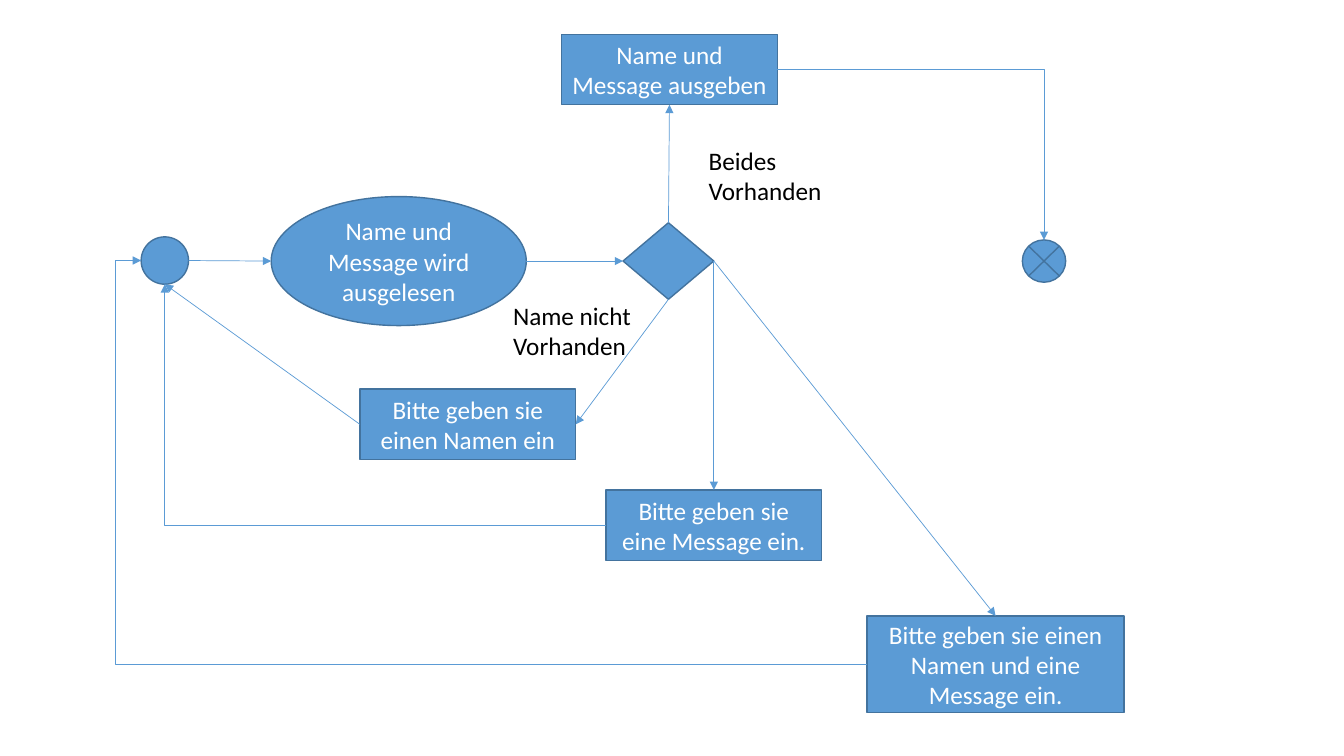
"""Build the flowchart slide that checks a name and a message."""
from dataclasses import dataclass

from lxml.etree import SubElement
from pptx import Presentation
from pptx.dml.color import RGBColor
from pptx.enum.shapes import MSO_CONNECTOR, MSO_SHAPE
from pptx.enum.text import MSO_ANCHOR, MSO_AUTO_SIZE, PP_ALIGN
from pptx.oxml.ns import qn
from pptx.slide import Slide
from pptx.text.text import TextFrame
from pptx.util import Inches, Pt

Point = tuple[float, float]


@dataclass(frozen=True)
class Theme:
    """Colours, font and sizes of the slide."""
    fill: RGBColor = RGBColor(0x5B, 0x9B, 0xD5)
    outline: RGBColor = RGBColor(0x43, 0x73, 0x9E)
    node_text: RGBColor = RGBColor(0xFF, 0xFF, 0xFF)
    label_text: RGBColor = RGBColor(0x00, 0x00, 0x00)
    font: str = "Calibri"
    text_size: float = 18
    outline_width: float = 1
    link_width: float = 0.5


@dataclass(frozen=True)
class Node:
    """A flowchart symbol with its place in inches."""
    kind: MSO_SHAPE
    x: float
    y: float
    width: float
    height: float
    text: str = ""

    @property
    def left(self) -> Point:
        """Return the middle of the left side."""
        return self.x, self.y + self.height / 2

    @property
    def right(self) -> Point:
        """Return the middle of the right side."""
        return self.x + self.width, self.y + self.height / 2

    @property
    def top(self) -> Point:
        """Return the middle of the top side."""
        return self.x + self.width / 2, self.y

    @property
    def bottom(self) -> Point:
        """Return the middle of the bottom side."""
        return self.x + self.width / 2, self.y + self.height


@dataclass(frozen=True)
class Link:
    """An arrow between two points, straight or bent."""
    begin: Point
    end: Point
    preset: str = "line"
    bend: int | None = None


@dataclass(frozen=True)
class Label:
    """A branch condition with its place in inches."""
    x: float
    y: float
    width: float
    height: float
    text: str


THEME = Theme()
CORNER = "bentConnector2"
DETOUR = "bentConnector3"
BOX_SIZE = (2.14, 0.7)

START = Node(MSO_SHAPE.FLOWCHART_CONNECTOR, 1.4, 2.35, 0.47, 0.47)
FINISH = Node(MSO_SHAPE.FLOWCHART_SUMMING_JUNCTION, 10.14, 2.38, 0.43, 0.42)
READ = Node(MSO_SHAPE.OVAL, 2.69, 1.95, 2.53, 1.28, "Name und Message wird ausgelesen")
DECISION = Node(MSO_SHAPE.DIAMOND, 6.18, 2.21, 0.9, 0.76)
ASK_NAME = Node(MSO_SHAPE.RECTANGLE, 3.57, 3.86, *BOX_SIZE, "Bitte geben sie einen Namen ein")
OUTPUT = Node(MSO_SHAPE.RECTANGLE, 5.57, 0.34, *BOX_SIZE, "Name und Message ausgeben")
ASK_MESSAGE = Node(MSO_SHAPE.RECTANGLE, 6.01, 4.86, *BOX_SIZE, "Bitte geben sie eine Message ein.")
ASK_BOTH = Node(MSO_SHAPE.RECTANGLE, 8.6, 6.11, 2.55, 0.96,
                "Bitte geben sie einen Namen und eine Message ein.")

NODES = (START, FINISH, READ, DECISION, ASK_NAME, OUTPUT, ASK_MESSAGE, ASK_BOTH)
LINKS = (
    Link(START.right, READ.left),
    Link(READ.right, DECISION.left),
    Link(DECISION.top, OUTPUT.bottom),
    Link(DECISION.bottom, ASK_NAME.right),
    Link(DECISION.right, ASK_MESSAGE.top),
    Link(DECISION.right, ASK_BOTH.top),
    Link(OUTPUT.right, FINISH.top, CORNER),
    Link(ASK_NAME.left, START.bottom),
    Link(ASK_MESSAGE.left, START.bottom, CORNER),
    Link(ASK_BOTH.left, START.left, DETOUR, 103500),
)
LABELS = (
    Label(6.93, 1.39, 1.57, 0.71, "Beides Vorhanden"),
    Label(4.99, 2.93, 1.43, 0.71, "Name nicht Vorhanden"),
)


def write_text(text_frame: TextFrame, text: str, color: RGBColor, alignment: PP_ALIGN) -> None:
    """Fill a text frame with one formatted, wrapping paragraph."""
    text_frame.word_wrap = True
    text_frame.text = text
    paragraph = text_frame.paragraphs[0]
    paragraph.alignment = alignment
    for run in paragraph.runs:
        run.font.name = THEME.font
        run.font.size = Pt(THEME.text_size)
        run.font.color.rgb = color


def draw_node(slide: Slide, node: Node) -> None:
    """Draw one flowchart symbol."""
    shape = slide.shapes.add_shape(
        node.kind, Inches(node.x), Inches(node.y), Inches(node.width), Inches(node.height))
    shape.shadow.inherit = False
    shape.fill.solid()
    shape.fill.fore_color.rgb = THEME.fill
    shape.line.color.rgb = THEME.outline
    shape.line.width = Pt(THEME.outline_width)
    if node.text:
        shape.text_frame.vertical_anchor = MSO_ANCHOR.MIDDLE
        write_text(shape.text_frame, node.text, THEME.node_text, PP_ALIGN.CENTER)


def draw_link(slide: Slide, link: Link) -> None:
    """Draw one arrow."""
    kind = MSO_CONNECTOR.STRAIGHT if link.preset == "line" else MSO_CONNECTOR.ELBOW
    connector = slide.shapes.add_connector(
        kind, *(Inches(value) for value in link.begin + link.end))
    connector.line.color.rgb = THEME.fill
    connector.line.width = Pt(THEME.link_width)
    properties = connector.element.spPr
    SubElement(properties.find(qn("a:ln")), qn("a:tailEnd"), type="triangle")
    SubElement(properties, qn("a:effectLst"))
    geometry = properties.find(qn("a:prstGeom"))
    geometry.set("prst", link.preset)
    if link.bend is not None:
        SubElement(geometry.find(qn("a:avLst")), qn("a:gd"), name="adj1", fmla=f"val {link.bend}")


def draw_label(slide: Slide, label: Label) -> None:
    """Draw one branch condition."""
    text_box = slide.shapes.add_textbox(
        Inches(label.x), Inches(label.y), Inches(label.width), Inches(label.height))
    write_text(text_box.text_frame, label.text, THEME.label_text, PP_ALIGN.LEFT)
    text_box.text_frame.auto_size = MSO_AUTO_SIZE.SHAPE_TO_FIT_TEXT


def main() -> None:
    """Build and save the presentation."""
    presentation = Presentation()
    presentation.slide_width = Inches(13.33)
    presentation.slide_height = Inches(7.5)
    slide = presentation.slides.add_slide(presentation.slide_layouts[6])
    for node in NODES:
        draw_node(slide, node)
    for link in LINKS:
        draw_link(slide, link)
    for label in LABELS:
        draw_label(slide, label)
    presentation.save("out.pptx")


if __name__ == "__main__":
    main()
